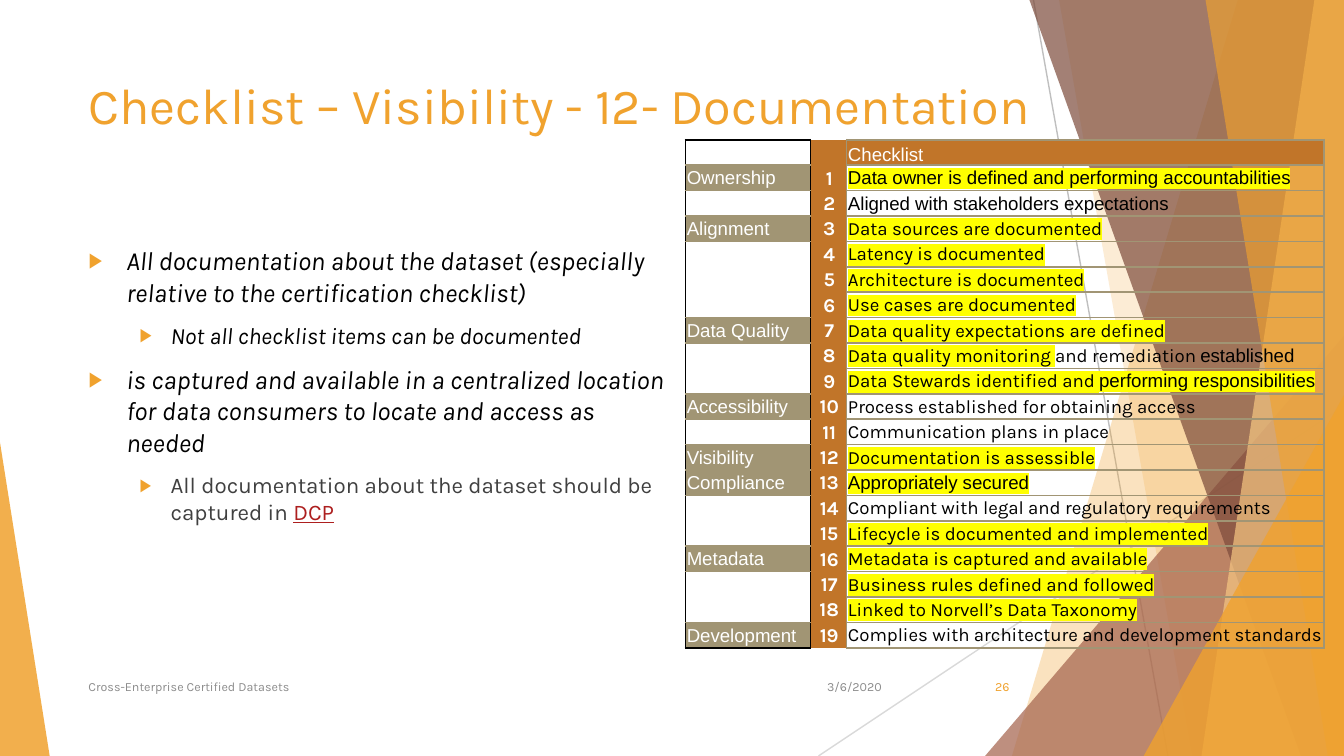
from dataclasses import dataclass

from lxml import etree
from pptx import Presentation
from pptx.dml.color import RGBColor
from pptx.enum.shapes import MSO_CONNECTOR, MSO_SHAPE
from pptx.enum.text import MSO_ANCHOR, MSO_AUTO_SIZE, PP_ALIGN
from pptx.oxml.ns import qn
from pptx.util import Inches, Pt

STRAIGHT = MSO_CONNECTOR.STRAIGHT
TRIANGLE = MSO_SHAPE.ISOSCELES_TRIANGLE
LEFT, CENTER, RIGHT = PP_ALIGN.LEFT, PP_ALIGN.CENTER, PP_ALIGN.RIGHT
TOP, MIDDLE, BOTTOM = MSO_ANCHOR.TOP, MSO_ANCHOR.MIDDLE, MSO_ANCHOR.BOTTOM
NO_GRID_STYLE = "{2D5ABB26-0587-4C30-8999-92F81FD0307C}"

# The slide is a 16:9 grid of one-inch squares
COLUMNS = 10
ROWS = COLUMNS * 9 / 16
MARGIN = 0.56
FOOTER_ROW, FOOTER_HEIGHT = 4.96, 0.3


@dataclass(frozen=True)
class Theme:
    font: str = "Karla"
    table_font: str = "Arial"
    accent: str = "F0A22E"
    pale: str = "F6C782"
    clay: str = "A5644E"
    brown: str = "7C4B3B"
    rust: str = "C17529"
    olive: str = "A19574"
    black: str = "000000"
    white: str = "FFFFFF"
    dark: str = "404040"
    muted: str = "8C8C8C"
    link: str = "AD1F1F"
    marker: str = "FFFF00"
    line: str = "BFBFBF"
    light_line: str = "D9D9D9"
    title_size: float = 27
    body_size: float = 14
    note_size: float = 12.5
    detail_size: float = 12
    number_size: float = 10.5
    item_size: int = 10
    footer_size: float = 6.7


THEME = Theme()
ARIAL, KARLA = THEME.table_font, THEME.font

# Category, then the item's runs: text, font, marked as documented
CHECKLIST = [
    ("Ownership", [("Data owner is defined and performing accountabilities", ARIAL, True)]),
    ("", [("Aligned with stakeholders expectations", ARIAL, False)]),
    ("Alignment", [("Data sources are documented", KARLA, True)]),
    ("", [("Latency is documented", KARLA, True)]),
    ("", [("Architecture is documented", KARLA, True)]),
    ("", [("Use cases are documented", KARLA, True)]),
    ("Data Quality", [("Data quality expectations are defined", KARLA, True)]),
    ("", [("Data quality monitoring ", KARLA, True), ("and remediation ", KARLA, False),
          ("established", ARIAL, False)]),
    ("", [("Data Stewards identified and ", KARLA, True),
          ("performing responsibilities", ARIAL, True)]),
    ("Accessibility", [("Process established for obtaining access", KARLA, False)]),
    ("", [("Communication plans in place", KARLA, False)]),
    ("Visibility", [("Documentation is assessible", KARLA, True)]),
    ("Compliance", [("Appropriately secured", ARIAL, True)]),
    ("", [("Compliant with legal and regulatory requirements", KARLA, False)]),
    ("", [("Lifecycle is documented and implemented", KARLA, True)]),
    ("Metadata", [("Metadata is captured and available", KARLA, True)]),
    ("", [("Business rules defined and followed", KARLA, True)]),
    ("", [("Linked to Norvell’s Data Taxonomy", KARLA, True)]),
    ("Development", [("Complies with architecture and development standards", KARLA, False)]),
]


def grid(*cells):
    return [Inches(cell) for cell in cells]


def add_text(paragraph, text, size, color, font=KARLA, bold=False, italic=False,
             underline=False, marker=None):
    run = paragraph.add_run()
    run.text = text
    style = run.font
    style.size, style.name = Pt(size), font
    style.bold, style.italic, style.underline = bold, italic, underline
    style.color.rgb = RGBColor.from_string(color)
    if marker:
        highlight = etree.Element(qn("a:highlight"))
        etree.SubElement(highlight, qn("a:srgbClr"), val=marker)
        run._r.find(qn("a:rPr")).find(qn("a:solidFill")).addnext(highlight)


# Background decoration
def paint(shape, color, opacity):
    shape.shadow.inherit = False
    shape.line.fill.background()
    shape.fill.solid()
    shape.fill.fore_color.rgb = RGBColor.from_string(color)
    fill_color = shape.element.spPr.find(qn("a:solidFill")).find(qn("a:srgbClr"))
    etree.SubElement(fill_color, qn("a:alpha"), val=str(opacity * 1000))


def add_line(slide, start, end, color):
    line = slide.shapes.add_connector(STRAIGHT, *grid(*start, *end))
    line.line.width = Pt(0.75)
    line.line.color.rgb = RGBColor.from_string(color)
    etree.SubElement(line.element.spPr, qn("a:effectLst"))


def add_band(slide, top, bottom, color, opacity):
    """Fill from a slanted left edge to the right side of the slide."""
    builder = slide.shapes.build_freeform(*grid(top, 0))
    corners = [(COLUMNS, 0), (COLUMNS, ROWS), (bottom, ROWS)]
    builder.add_line_segments([grid(*corner) for corner in corners], close=True)
    paint(builder.convert_to_shape(), color, opacity)


def add_wedge(slide, left, top, width, apex, color, opacity):
    wedge = slide.shapes.add_shape(TRIANGLE, *grid(left, top, width, ROWS - top))
    wedge.adjustments[0] = apex
    paint(wedge, color, opacity)


def add_decoration(slide):
    add_line(slide, (7.69, 0), (8.69, ROWS), THEME.line)
    add_line(slide, (COLUMNS, 3.02), (6.09, ROWS), THEME.light_line)
    add_band(slide, 9.21, 7.53, THEME.accent, 30)
    add_band(slide, 7.88, 8.87, THEME.accent, 20)
    add_wedge(slide, 7.33, 2.5, 2.67, 1, THEME.clay, 72)
    add_band(slide, 7.66, 9.68, THEME.brown, 70)
    add_band(slide, 9.78, 8.94, THEME.pale, 70)
    add_band(slide, 8.97, 9.88, THEME.accent, 65)
    add_wedge(slide, 8.51, 2.94, 1.49, 1, THEME.accent, 80)
    add_wedge(slide, 0, 3.29, 0.37, 0, THEME.accent, 85)


# Title, list and footer
def place(holder, left, top, width, height):
    holder.left, holder.top, holder.width, holder.height = grid(left, top, width, height)
    frame = holder.text_frame
    frame.word_wrap, frame.auto_size = True, MSO_AUTO_SIZE.NONE
    frame.vertical_anchor = TOP
    frame.paragraphs[0].alignment = LEFT
    return frame


def add_bullet(paragraph, level):
    paragraph.level, paragraph.alignment = level, LEFT
    paragraph.space_before = Pt(7.5)
    indent, hanging = [(0.28, 0.28), (0.61, 0.23)][level]
    properties = paragraph._p.get_or_add_pPr()
    properties.set("marL", str(Inches(indent)))
    properties.set("indent", str(-Inches(hanging)))
    color = etree.SubElement(properties, qn("a:buClr"))
    etree.SubElement(color, qn("a:srgbClr"), val=THEME.accent)
    etree.SubElement(properties, qn("a:buSzPct"), val="80000")
    etree.SubElement(properties, qn("a:buFont"), typeface=ARIAL)
    etree.SubElement(properties, qn("a:buChar"), char="▶")


def fill_body(frame):
    main_style = dict(size=THEME.body_size, color=THEME.black, italic=True)
    note_style = dict(main_style, size=THEME.note_size)
    detail_style = dict(size=THEME.detail_size, color=THEME.dark)
    link_style = dict(detail_style, color=THEME.link, underline=True)
    points = [
        (0, [("All documentation about the dataset (especially relative to the "
              "certification checklist)", main_style)]),
        (1, [("Not all checklist items can be documented", note_style)]),
        (0, [("is captured and available in a centralized location for data consumers "
              "to locate and access as needed", main_style)]),
        (1, [("All documentation about the dataset should be captured in ", detail_style),
             ("DCP", link_style)]),
    ]
    for index, (level, runs) in enumerate(points):
        paragraph = frame.add_paragraph() if index else frame.paragraphs[0]
        add_bullet(paragraph, level)
        for text, style in runs:
            add_text(paragraph, text, **style)


def add_footer(slide, left, width, text, color, align):
    footer = slide.shapes.add_textbox(*grid(left, FOOTER_ROW, width, FOOTER_HEIGHT))
    frame = footer.text_frame
    frame.word_wrap, frame.vertical_anchor = True, MIDDLE
    frame.paragraphs[0].alignment = align
    add_text(frame.paragraphs[0], text, THEME.footer_size, color)


# Checklist table
def format_cell(cell, fill=None, align=LEFT, anchor=MIDDLE, **borders):
    cell.margin_left = cell.margin_top = Inches(0.01)
    cell.margin_right = cell.margin_bottom = 0
    cell.vertical_anchor = anchor
    properties = cell._tc.get_or_add_tcPr()
    for side in "LRTB":
        if side in borders:
            border = etree.SubElement(properties, qn("a:ln" + side), w=str(Pt(1)))
            solid = etree.SubElement(border, qn("a:solidFill"))
            etree.SubElement(solid, qn("a:srgbClr"), val=borders[side])
    if fill:
        cell.fill.solid()
        cell.fill.fore_color.rgb = RGBColor.from_string(fill)
    else:
        cell.fill.background()
    paragraph = cell.text_frame.paragraphs[0]
    paragraph.alignment = align
    etree.SubElement(paragraph._p, qn("a:endParaRPr"), sz=str(THEME.item_size * 100))
    return paragraph


def add_checklist(slide):
    row_count, height = len(CHECKLIST) + 1, 3.78
    frame = slide.shapes.add_table(row_count, 3, *grid(5.1, 1.04, 4.75, height))
    table = frame.table
    table.first_row = table.horz_banding = False
    next(frame.element.iter(qn("a:tableStyleId"))).text = NO_GRID_STYLE
    for column, width in zip(table.columns, (0.93, 0.27, 3.55)):
        column.width = Inches(width)
    for row in table.rows:
        row.height = Inches(height / row_count)

    sides = dict(L=THEME.black, R=THEME.black)
    box = dict.fromkeys("LRTB", THEME.olive)
    label = dict(size=THEME.item_size, color=THEME.white, font=ARIAL)
    format_cell(table.cell(0, 0), THEME.white, T=THEME.black, B=THEME.olive, **sides)
    format_cell(table.cell(0, 1), THEME.rust, L=THEME.black)
    heading = format_cell(table.cell(0, 2), THEME.rust, anchor=BOTTOM, **box)
    add_text(heading, "Checklist", **label)

    for number, (category, runs) in enumerate(CHECKLIST, start=1):
        edges = dict(sides)
        if category:
            edges.update(T=THEME.olive, B=THEME.olive)
        if number == len(CHECKLIST):
            edges["B"] = THEME.black
        category_text = format_cell(table.cell(number, 0),
                                    THEME.olive if category else None, **edges)
        if category:
            add_text(category_text, category, **label)
        number_text = format_cell(table.cell(number, 1), THEME.rust, CENTER, L=THEME.black)
        add_text(number_text, str(number), THEME.number_size, THEME.white, bold=True)
        item = format_cell(table.cell(number, 2), **box)
        for text, font, marked in runs:
            add_text(item, text, THEME.item_size, THEME.black, font,
                     marker=THEME.marker if marked else None)


def main():
    deck = Presentation()
    deck.slide_width, deck.slide_height = grid(COLUMNS, ROWS)
    slide = deck.slides.add_slide(deck.slide_layouts[1])
    title, body = slide.shapes.title, slide.placeholders[1]

    add_decoration(slide)
    for holder in (title, body):  # bring the text in front of the decoration
        holder.element.getparent().append(holder.element)

    title_frame = place(title, MARGIN, 0.5, 7.5, 1.08)
    add_text(title_frame.paragraphs[0], "Checklist – Visibility - 12- Documentation",
             THEME.title_size, THEME.accent)
    fill_body(place(body, MARGIN, 1.77, 4.55, 3.18))
    add_footer(slide, 7.05, 0.56, "26", THEME.accent, RIGHT)
    add_checklist(slide)
    add_footer(slide, 5.91, 0.75, "3/6/2020", THEME.muted, RIGHT)
    add_footer(slide, MARGIN, 5.17, "Cross-Enterprise Certified Datasets", THEME.muted, LEFT)
    deck.save("out.pptx")


if __name__ == "__main__":
    main()
